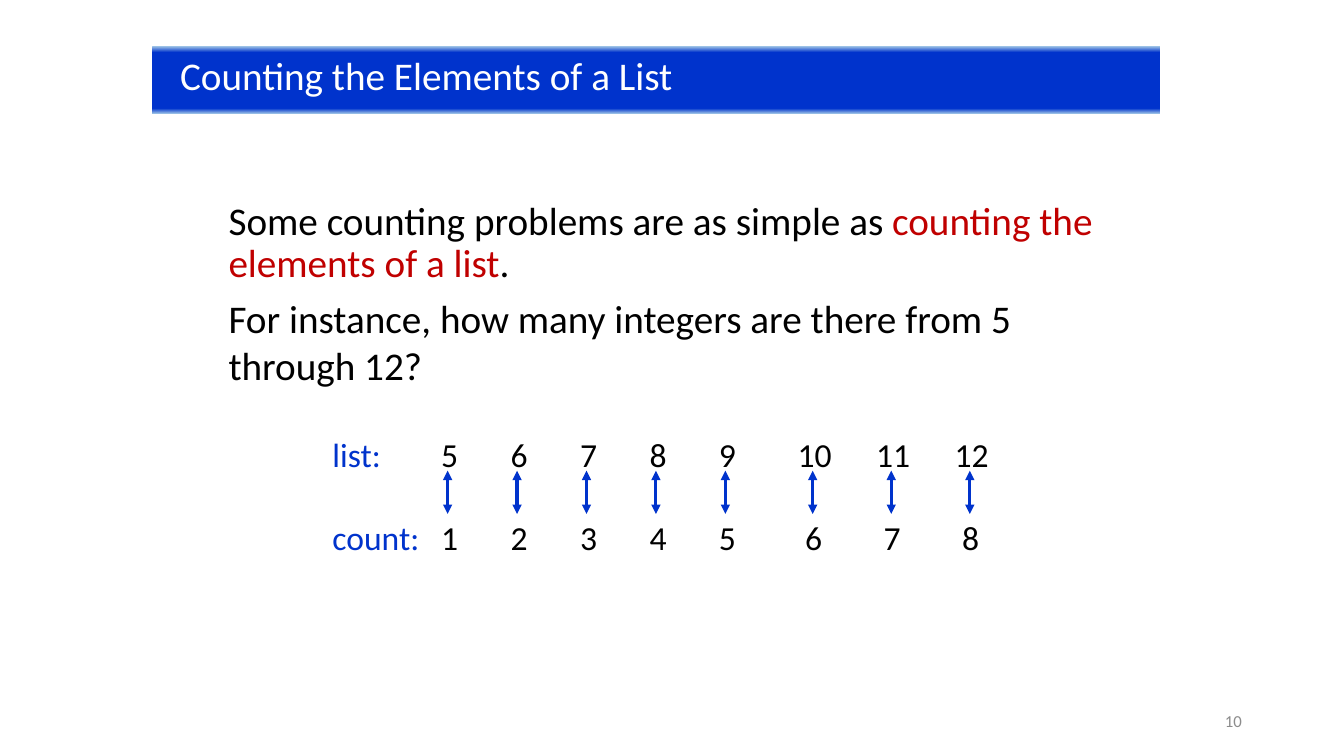
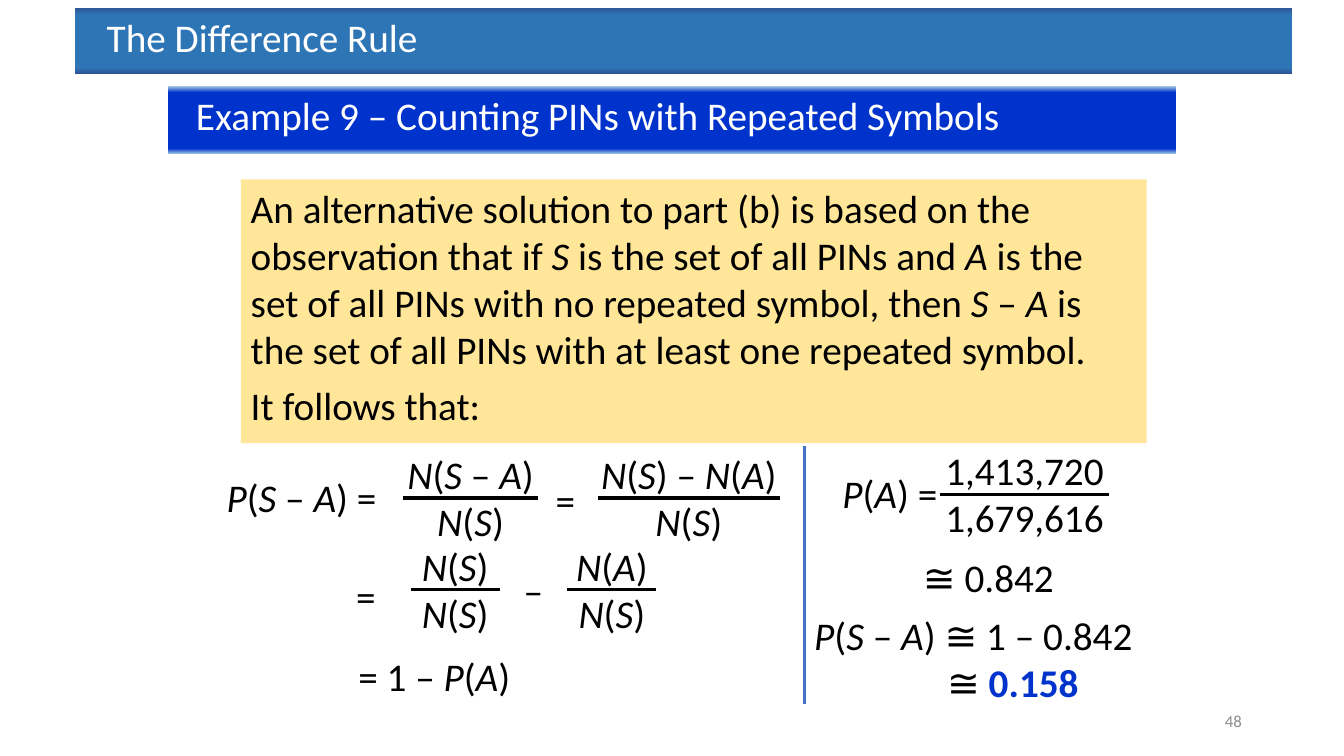
import copy

import lxml.etree
import pptx
import pptx.dml.color
import pptx.enum.shapes
import pptx.enum.text
import pptx.oxml.ns
import pptx.util

Cm = pptx.util.Cm
Pt = pptx.util.Pt
qn = pptx.oxml.ns.qn
ALIGN = pptx.enum.text.PP_ALIGN
ANCHOR = pptx.enum.text.MSO_ANCHOR
SHAPE = pptx.enum.shapes.MSO_SHAPE
color = pptx.dml.color.RGBColor.from_string


class Theme:
    font = "Calibri"
    body, row, foot = 28, 24, 12
    ink, white, grey = "000000", "FFFFFF", "8C8C8C"
    blue, red, cream, rule = "0033CC", "C00000", "FFE699", "4472C4"
    bright = [(0, "9DC3E6"), (0.09, blue), (0.92, blue), (1, "9DC3E6")]
    dark = [(0, "2F5597"), (0.11, "2E75B6"), (0.91, "2E75B6"), (1, "2F5597")]
    stroke = 2.25


def write(page, area, text, size=Theme.body, tone=Theme.ink, accent=Theme.blue,
          bold=False, align=ALIGN.LEFT, anchor=ANCHOR.TOP, before=0, after=0,
          inset=0.25, tabs=(), solid=False):
    """Add a text box, or a plain rectangle if solid.

    Each line is a paragraph; *...* is italic and |...| takes the accent
    colour, in bold if asked.
    """
    area = [Cm(n) for n in area]
    if solid:
        shape = page.shapes.add_shape(SHAPE.RECTANGLE, *area)
        shape.shadow.inherit = False
        shape.line.fill.background()
    else:
        shape = page.shapes.add_textbox(*area)
    frame = shape.text_frame
    frame.word_wrap = True
    frame.vertical_anchor = anchor
    frame.margin_left = Cm(inset)
    for n, line in enumerate(text.split("\n")):
        para = frame.paragraphs[0] if n == 0 else frame.add_paragraph()
        para.alignment = align
        para.space_before = Pt(before if n else 0)
        para.space_after = Pt(after)
        if tabs:
            stops = lxml.etree.SubElement(para._p.get_or_add_pPr(), qn("a:tabLst"))
            for tab in tabs:
                lxml.etree.SubElement(stops, qn("a:tab"), pos=str(Cm(tab)), algn="l")
        for i, part in enumerate(line.split("|")):
            for j, piece in enumerate(part.split("*")):
                if piece:
                    run = para.add_run()
                    run.text = piece
                    run.font.name = Theme.font
                    run.font.size = Pt(size)
                    run.font.italic = j % 2 == 1
                    run.font.bold = bold and i % 2 == 1
                    run.font.color.rgb = color(accent if i % 2 else tone)
    return shape


def rule(page, x1, y1, x2, y2, tone=Theme.ink, heads=False):
    """Draw a straight line, with arrowheads at both ends if asked."""
    line = page.shapes.add_connector(
        pptx.enum.shapes.MSO_CONNECTOR.STRAIGHT, Cm(x1), Cm(y1), Cm(x2), Cm(y2))
    line.line.width = Pt(Theme.stroke)
    line.line.color.rgb = color(tone)
    if heads:
        for end in ("a:headEnd", "a:tailEnd"):
            lxml.etree.SubElement(line.line._get_or_add_ln(), qn(end), type="triangle")
    lxml.etree.SubElement(line._element.spPr, qn("a:effectLst"))


deck = pptx.Presentation()
deck.slide_width, deck.slide_height = Cm(33.87), Cm(19.05)
count, rest = [deck.slides.add_slide(deck.slide_layouts[6]) for _ in range(2)]

# Title bands and page numbers
bands = [
    (count, (3.84, 1.17, 25.4, 1.7), "Counting the Elements of a List", 0.7, Theme.bright),
    (rest, (4.24, 2.18, 25.4, 1.7), "Example 9 – Counting PINs with Repeated Symbols",
     0.7, Theme.bright),
    (rest, (1.88, 0.2, 30.68, 1.65), "The Difference Rule", 0.81, Theme.dark),
]
for page, area, text, inset, blend in bands:
    band = write(page, area, text, tone=Theme.white, inset=inset, solid=True)
    band.fill.gradient()
    band.fill.gradient_angle = 270
    stops = band._element.spPr.find(".//" + qn("a:gsLst"))
    while len(stops) < len(blend):
        stops.append(copy.deepcopy(stops[0]))
    for stop, (place, tone) in zip(band.fill.gradient_stops, blend):
        stop.position = place
        stop.color.rgb = color(tone)

for page, text in ((count, "10"), (rest, "48")):
    write(page, (23.93, 17.65, 7.62, 1.02), text, size=Theme.foot, tone=Theme.grey,
          align=ALIGN.RIGHT, anchor=ANCHOR.MIDDLE)

# Counting a list
intro = write(
    count, (5.51, 4.95, 22.86, 7.7),
    "Some counting problems are as simple as |counting the elements of a list|.\n"
    "For instance, how many integers are there from 5 through 12?",
    accent=Theme.red, before=6)
intro.text_frame.paragraphs[0].line_spacing = 0.9

left = 8.13
ones = [2.74 + 1.75 * n for n in range(5)]
tens = [11.72 + 1.98 * n for n in range(3)]
rows = [
    (10.82, "|list:|", range(5, 13), ones + tens),
    (12.9, "|count:|", range(1, 9), ones + [tab + 0.19 for tab in tens]),
]
for top, label, nums, tabs in rows:
    write(count, (left, top, 17.7, 1.27), "\t".join([label, *map(str, nums)]),
          size=Theme.row, tabs=tabs)
for mid in [tab + 0.41 for tab in ones] + [tab + 0.63 for tab in tens]:
    rule(count, left + mid, 11.86, left + mid, 12.95, tone=Theme.blue, heads=True)

# Difference rule
claim = write(
    rest, (6.07, 4.52, 22.83, 6.65),
    "An alternative solution to part (b) is based on the observation that if *S* is "
    "the set of all PINs and *A* is the set of all PINs with no repeated symbol, then "
    "*S* – *A* is the set of all PINs with at least one repeated symbol.\n"
    "It follows that:",
    after=6, solid=True)
claim.fill.solid()
claim.fill.fore_color.rgb = color(Theme.cream)

# Fractions: centre, height of the bar, width of the bar, text
fracs = [
    (11.86, 12.55, 3.4, "*N*(*S* – *A*)\n*N*(*S*)"),
    (17.36, 12.55, 4.57, "*N*(*S*) – *N*(*A*)\n*N*(*S*)"),
    (11.47, 14.86, 2.24, "*N*(*S*)\n*N*(*S*)"),
    (15.42, 14.86, 2.24, "*N*(*A*)\n*N*(*S*)"),
    (25.82, 12.45, 4.24, "1,413,720\n1,679,616"),
]
for mid, bar, wide, text in fracs:
    span = wide + 1.4
    write(rest, (mid - span / 2, bar - 1.33, span, 2.64), text, align=ALIGN.CENTER)
    rule(rest, mid - wide / 2, bar, mid + wide / 2, bar)

terms = [
    (5.46, 11.81, 5.11, "*P*(*S* – *A*) =", ALIGN.LEFT),
    (13.41, 11.89, 1.68, "=", ALIGN.CENTER),
    (8.38, 14.3, 1.68, "=", ALIGN.CENTER),
    (12.6, 14.15, 1.68, "–", ALIGN.CENTER),
    (8.78, 16.31, 4.83, "= 1 – *P*(*A*)", ALIGN.LEFT),
    (20.98, 11.71, 3.71, "*P*(*A*) =", ALIGN.LEFT),
    (23.01, 13.82, 4.55, "≅ 0.842", ALIGN.LEFT),
]
for x, top, wide, text, align in terms:
    write(rest, (x, top, wide, 1.45), text, align=align)

final = write(rest, (20.27, 15.27, 8.76, 2.64),
              "*P*(*S* – *A*) ≅ 1 – 0.842\n≅ |0.158|", bold=True)
final.text_frame.paragraphs[1]._p.get_or_add_pPr().set("marL", str(Cm(3.35)))
rule(rest, 20.27, 11.23, 20.27, 17.75, tone=Theme.rule)

deck.save("out.pptx")
